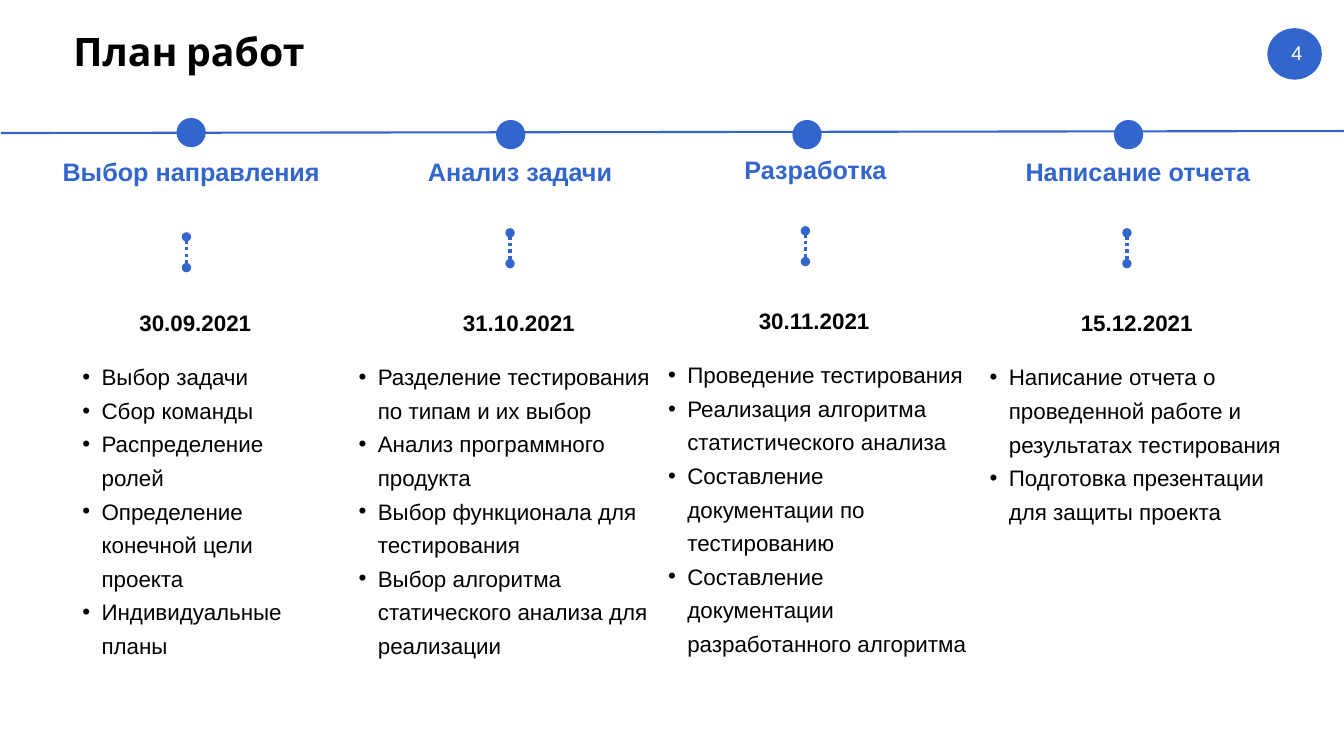
from dataclasses import dataclass

from lxml import etree
from pptx import Presentation, util as u
from pptx.dml.color import RGBColor
from pptx.enum import dml, shapes, text
from pptx.oxml import ns

COLORS = {"accent": "3366CC", "ink": "000000", "paper": "FFFFFF"}
WIDTH, HEIGHT = u.Inches(13.33), u.Inches(7.5)
COLUMNS, ROWS = 40, 30  # grid over the whole slide

FORMATS = {
    "title": {"name": "Cabin", "size": u.Pt(28), "bold": True},
    "heading": {"name": "Arial", "size": u.Pt(18), "bold": True},
    "date": {"name": "Arial", "size": u.Pt(16), "bold": True},
    "task": {"name": "Arial", "size": u.Pt(16), "bold": False},
    "number": {"name": "Arial", "size": u.Pt(14), "bold": False},
}
MARKER_WIDTH, MARKER_HEIGHT = 0.87, 1.16
DATE_WIDTH = 5.91
DOTS_HEIGHT = 1.22


@dataclass(frozen=True)
class Stage:
    """One stage of the plan; places are grid columns and rows."""
    heading: str
    date: str
    tasks: tuple[str, ...]
    heading_center: float
    date_center: float
    marker_center: float
    dots_column: float
    tasks_left: float
    tasks_width: float = 9.57
    tasks_height: float = 12.52
    heading_width: float = 7.32
    heading_height: float = 1.6
    marker_top: float = 4.76
    dots_top: float = 9.24
    shift: float = 0.0


STAGES = (
    Stage("Выбор направления", "30.09.2021",
          ("Выбор задачи", "Сбор команды", "Распределение ролей",
           "Определение конечной цели проекта", "Индивидуальные планы"),
          5.69, 5.81, 5.69, 5.55, 2.16, tasks_width=7.53,
          heading_width=8.34, marker_top=4.68, dots_top=9.4),
    Stage("Анализ задачи", "31.10.2021",
          ("Разделение тестирования по типам и их выбор",
           "Анализ программного продукта",
           "Выбор функционала для тестирования",
           "Выбор алгоритма статического анализа для реализации"),
          15.48, 15.44, 15.2, 15.18, 10.38),
    Stage("Разработка", "30.11.2021",
          ("Проведение тестирования",
           "Реализация алгоритма статистического анализа",
           "Составление документации по тестированию",
           "Составление документации разработанного алгоритма"),
          24.27, 24.23, 24.02, 23.97, 19.59, shift=-0.08),
    Stage("Написание отчета", "15.12.2021",
          ("Написание отчета о проведенной работе и результатах тестирования",
           "Подготовка презентации для защиты проекта"),
          33.87, 33.83, 33.59, 33.54, 29.16,
          tasks_height=7.12, heading_height=2.84),
)


def col(count: float) -> int:
    return round(WIDTH * count / COLUMNS)


def row(count: float) -> int:
    return round(HEIGHT * count / ROWS)


def rgb(color: str) -> RGBColor:
    return RGBColor.from_string(COLORS[color])


def add_bullet(paragraph) -> None:
    properties = paragraph._p.get_or_add_pPr()
    properties.set("marL", str(u.Inches(0.19)))
    properties.set("indent", str(-u.Inches(0.19)))
    tint = etree.SubElement(properties, ns.qn("a:buClr"))
    etree.SubElement(tint, ns.qn("a:srgbClr"), val=COLORS["ink"])
    etree.SubElement(properties, ns.qn("a:buFont"), typeface="Arial")
    etree.SubElement(properties, ns.qn("a:buChar"), char="•")


def add_text(slide, lines: tuple[str, ...], style: str, color: str,
             left: float, top: float, width: float, height: float,
             align=text.PP_ALIGN.LEFT, anchor=text.MSO_ANCHOR.TOP,
             spacing: float = 1.0, bullets: bool = False) -> None:
    box = slide.shapes.add_textbox(col(left), row(top), col(width), row(height))
    frame = box.text_frame
    frame.word_wrap = True
    frame.vertical_anchor = anchor
    for index, line in enumerate(lines):
        paragraph = frame.add_paragraph() if index else frame.paragraphs[0]
        paragraph.alignment = align
        paragraph.line_spacing = spacing
        if bullets:
            add_bullet(paragraph)
        run = paragraph.add_run()
        run.text = line
        for attribute, value in FORMATS[style].items():
            setattr(run.font, attribute, value)
        run.font.color.rgb = rgb(color)


def add_disc(slide, left: float, top: float, width: float, height: float) -> None:
    disc = slide.shapes.add_shape(shapes.MSO_SHAPE.OVAL, col(left), row(top),
                                  col(width), row(height))
    disc.shadow.inherit = False
    disc.fill.solid()
    disc.fill.fore_color.rgb = rgb("accent")
    disc.line.fill.background()


def add_line(slide, start: tuple[float, float], end: tuple[float, float],
             weight: float, dotted: bool = False) -> None:
    line = slide.shapes.add_connector(shapes.MSO_CONNECTOR.STRAIGHT,
                                      col(start[0]), row(start[1]),
                                      col(end[0]), row(end[1]))
    line.line.color.rgb = rgb("accent")
    line.line.width = u.Pt(weight)
    if dotted:
        line.line.dash_style = dml.MSO_LINE.ROUND_DOT
        outline = line.line._get_or_add_ln()
        for tip in ("a:headEnd", "a:tailEnd"):
            etree.SubElement(outline, ns.qn(tip), type="oval")
    etree.SubElement(line._element.spPr, ns.qn("a:effectLst"))


def add_stage(slide, stage: Stage) -> None:
    center = text.PP_ALIGN.CENTER
    add_disc(slide, stage.marker_center - MARKER_WIDTH / 2,
             stage.marker_top, MARKER_WIDTH, MARKER_HEIGHT)
    add_text(slide, (stage.heading,), "heading", "accent",
             stage.heading_center - stage.heading_width / 2, 6 + stage.shift,
             stage.heading_width, stage.heading_height, center)
    dots_top = stage.dots_top + stage.shift
    add_line(slide, (stage.dots_column, dots_top),
             (stage.dots_column, dots_top + DOTS_HEIGHT), 2.25, dotted=True)
    add_text(slide, (stage.date,), "date", "ink",
             stage.date_center - DATE_WIDTH / 2, 12.08 + stage.shift,
             DATE_WIDTH, 1.48, center)
    add_text(slide, stage.tasks, "task", "ink", stage.tasks_left,
             13.96 + stage.shift, stage.tasks_width, stage.tasks_height,
             spacing=1.25, bullets=True)


def main() -> None:
    deck = Presentation()
    deck.slide_width, deck.slide_height = WIDTH, HEIGHT
    slide = deck.slides.add_slide(deck.slide_layouts[6])
    slide.background.fill.solid()
    slide.background.fill.fore_color.rgb = rgb("paper")

    # Title
    add_text(slide, ("План работ",), "title", "ink", 1.89, 0.8, 34.5, 2.64,
             anchor=text.MSO_ANCHOR.MIDDLE, spacing=0.9)

    # Timeline and its stages
    add_line(slide, (0.03, 5.28), (COLUMNS, 5.2), 1.5)
    for stage in STAGES:
        add_stage(slide, stage)

    # Page number
    add_disc(slide, 37.72, 1.12, 1.62, 2.04)
    add_text(slide, ("4",), "number", "paper", 38.14, 1.44, 1.02, 1.36)

    deck.save("out.pptx")


if __name__ == "__main__":
    main()
